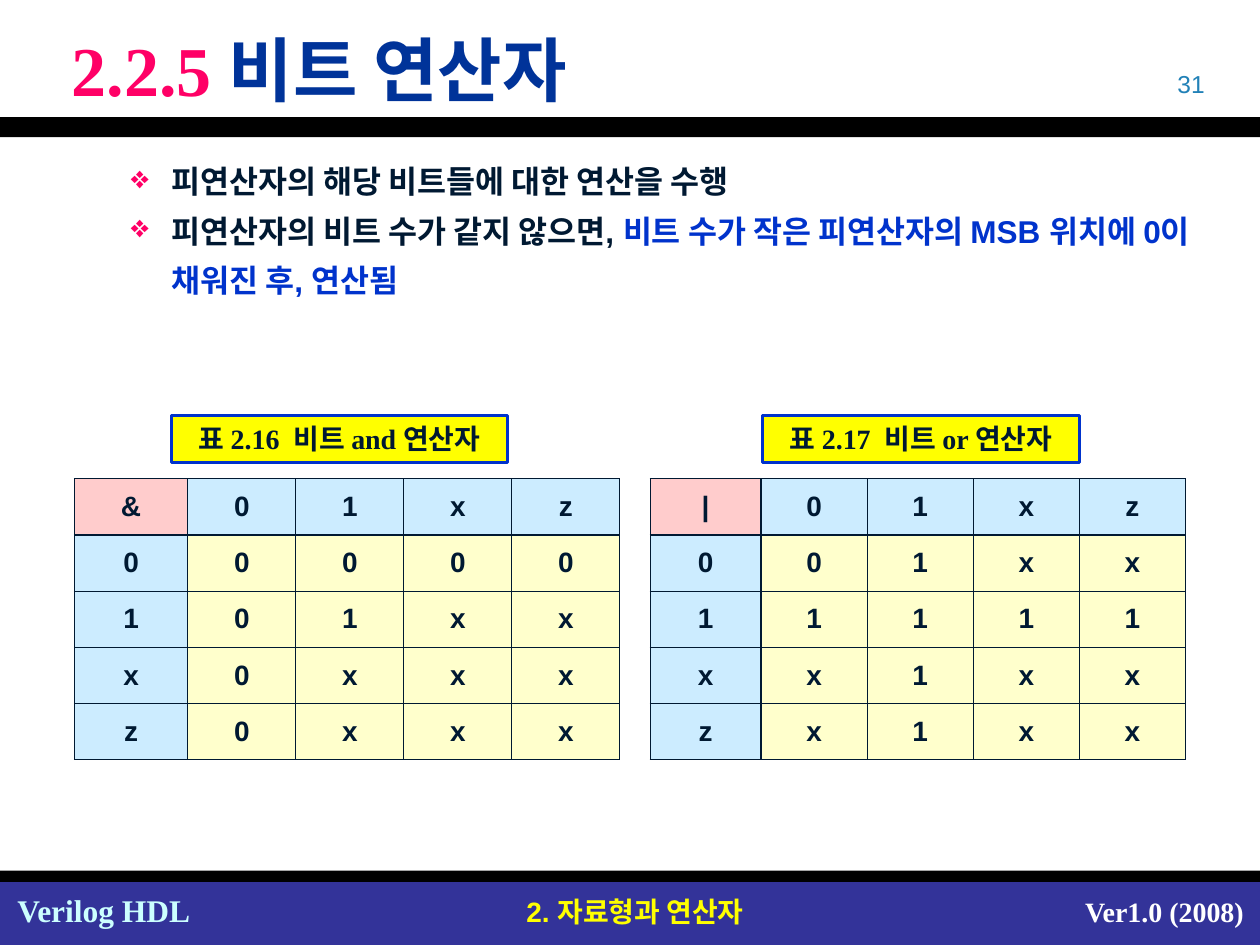
from lxml.etree import SubElement
from pptx import Presentation
from pptx.dml.color import RGBColor
from pptx.enum.shapes import MSO_SHAPE as Shape
from pptx.enum.text import MSO_ANCHOR as Anchor, PP_ALIGN as Align
from pptx.oxml.ns import qn
from pptx.util import Inches, Pt

BLACK = RGBColor(0x00, 0x00, 0x00)
WHITE = RGBColor(0xFF, 0xFF, 0xFF)
INK = RGBColor(0x00, 0x19, 0x32)
PINK = RGBColor(0xFF, 0x00, 0x66)
TITLE_BLUE = RGBColor(0x00, 0x33, 0x99)
ACCENT_BLUE = RGBColor(0x00, 0x33, 0xCC)
NUMBER_BLUE = RGBColor(0x21, 0x81, 0xB7)
FOOTER_BLUE = RGBColor(0x33, 0x33, 0x99)
PALE_CYAN = RGBColor(0xCC, 0xFF, 0xFF)
YELLOW = RGBColor(0xFF, 0xFF, 0x00)
CORNER_PINK = RGBColor(0xFF, 0xCC, 0xCC)
HEADER_BLUE = RGBColor(0xCC, 0xEC, 0xFF)
VALUE_CREAM = RGBColor(0xFF, 0xFF, 0xCC)

SANS, SERIF = "Arial", "Times New Roman"


def add_run(p, text, size, color, font=SANS, bold=True):
    r = p.add_run()
    r.text = text
    r.font.size, r.font.name, r.font.bold = Pt(size), font, bold
    r.font.color.rgb = color


def add_box(slide, box, align=Align.LEFT):
    """Add a wrapping text box and return its text frame."""
    tf = slide.shapes.add_textbox(*map(Inches, box)).text_frame
    tf.word_wrap = True
    tf.paragraphs[0].alignment = align
    return tf


def add_bar(slide, box, fill):
    sp = slide.shapes.add_shape(Shape.RECTANGLE, *map(Inches, box))
    sp.shadow.inherit = False
    sp.fill.solid()
    sp.fill.fore_color.rgb = fill
    sp.line.fill.background()
    return sp


def set_indent(p, left, first=0):
    pPr = p._p.get_or_add_pPr()
    pPr.set("marL", str(Inches(left)))
    pPr.set("indent", str(Inches(first)))
    return pPr


def add_header(slide, box):
    x, y, w, h = box
    add_bar(slide, (x, y + h - 0.16, w, 0.16), BLACK)
    # Page number
    tf = add_box(slide, (x + w - 2.67, y + 0.5, 2.33, 0.33), Align.RIGHT)
    add_run(tf.paragraphs[0], "31", 14, NUMBER_BLUE, bold=False)
    # Title
    tf = add_box(slide, (x + 0.17, y + 0.13, w - 0.33, 0.83))
    tf.vertical_anchor = Anchor.MIDDLE
    p = tf.paragraphs[0]
    set_indent(p, 0.3)
    add_run(p, "2.2.5 ", 40, PINK, SERIF)
    add_run(p, "비트 연산자", 40, TITLE_BLUE, SERIF)


def add_footer(slide, box):
    x, y, w, h = box
    add_bar(slide, (x, y + 0.09, w, h - 0.09), FOOTER_BLUE)
    add_bar(slide, (x, y, w, 0.09), BLACK)
    labels = [
        ((x + 0.04, y + 0.11, 1.7, 0.4), Align.LEFT, "Verilog HDL", 18, PALE_CYAN, SERIF),
        ((x + 3.9, y + 0.14, 2.28, 0.37), Align.CENTER, "2. 자료형과 연산자", 16, YELLOW, SANS),
        ((x + w - 1.61, y + 0.14, 1.58, 0.37), Align.RIGHT, "Ver1.0 (2008)", 16, WHITE, SERIF),
    ]
    for label_box, align, text, size, color, font in labels:
        tf = add_box(slide, label_box, align)
        tf.word_wrap = align == Align.CENTER
        add_run(tf.paragraphs[0], text, size, color, font)


def add_bullets(slide, box, items):
    tf = add_box(slide, box)
    for i, runs in enumerate(items):
        p = tf.add_paragraph() if i else tf.paragraphs[0]
        p.level = 1
        p.line_spacing = 1.3
        pPr = set_indent(p, 0.84, -0.32)
        color = SubElement(pPr, qn("a:buClr"))
        SubElement(color, qn("a:srgbClr"), val=str(PINK))
        SubElement(pPr, qn("a:buChar"), char="❖")
        for text, text_color in runs:
            add_run(p, text, 18, text_color)


def add_caption(slide, box, text):
    sp = add_bar(slide, box, YELLOW)
    sp.line.color.rgb = ACCENT_BLUE
    sp.line.width = Pt(1.5)
    tf = sp.text_frame
    tf.word_wrap = False
    tf.vertical_anchor = Anchor.TOP
    p = tf.paragraphs[0]
    p.alignment = Align.CENTER
    add_run(p, text, 16, INK, SERIF)


def set_borders(cell):
    tcPr = cell._tc.get_or_add_tcPr()
    for i, side in enumerate(("lnL", "lnR", "lnT", "lnB")):
        ln = tcPr.makeelement(qn(f"a:{side}"), {"w": str(Pt(0.75))})
        fill = SubElement(ln, qn("a:solidFill"))
        SubElement(fill, qn("a:srgbClr"), val=str(INK))
        tcPr.insert(i, ln)  # borders come before the fill


def add_truth_table(slide, box, first_col, rows):
    """Each row is a string with one symbol per cell."""
    n = len(rows)
    frame = slide.shapes.add_table(n, n, *map(Inches, box))
    table = frame.table
    for i in range(n):
        table.columns[i].width = Inches(first_col if i == 0 else (box[2] - first_col) / (n - 1))
        table.rows[i].height = Inches(box[3] / n)
    for i, row in enumerate(rows):
        for j, symbol in enumerate(row):
            cell = table.cell(i, j)
            cell.vertical_anchor = Anchor.MIDDLE
            cell.fill.solid()
            cell.fill.fore_color.rgb = (
                VALUE_CREAM if i and j else HEADER_BLUE if i or j else CORNER_PINK)
            set_borders(cell)
            p = cell.text_frame.paragraphs[0]
            p.alignment = Align.CENTER
            add_run(p, symbol, 16, INK)


def main():
    prs = Presentation()
    prs.slide_width, prs.slide_height = Inches(10), Inches(7.5)
    slide = prs.slides.add_slide(prs.slide_layouts[6])

    add_footer(slide, (0, 6.91, 10, 0.59))
    add_header(slide, (0, 0, 10, 1.09))
    add_bullets(slide, (0.42, 1.15, 9.25, 1.42), [
        [("피연산자의 해당 비트들에 대한 연산을 수행", INK)],
        [("피연산자의 비트 수가 같지 않으면, ", INK),
         ("비트 수가 작은 피연산자의 MSB 위치에 0이 채워진 후, 연산됨", ACCENT_BLUE)],
    ])

    # Bitwise and
    add_truth_table(slide, (0.59, 3.8, 4.33, 2.23), 0.9,
                    ["&01xz", "00000", "101xx", "x0xxx", "z0xxx"])
    add_caption(slide, (1.36, 3.3, 2.67, 0.37), "표 2.16  비트 and 연산자")

    # Bitwise or
    add_truth_table(slide, (5.16, 3.8, 4.25, 2.23), 0.88,
                    ["|01xz", "001xx", "11111", "xx1xx", "zx1xx"])
    add_caption(slide, (6.05, 3.3, 2.52, 0.37), "표 2.17  비트 or 연산자")

    prs.save("out.pptx")


if __name__ == "__main__":
    main()
